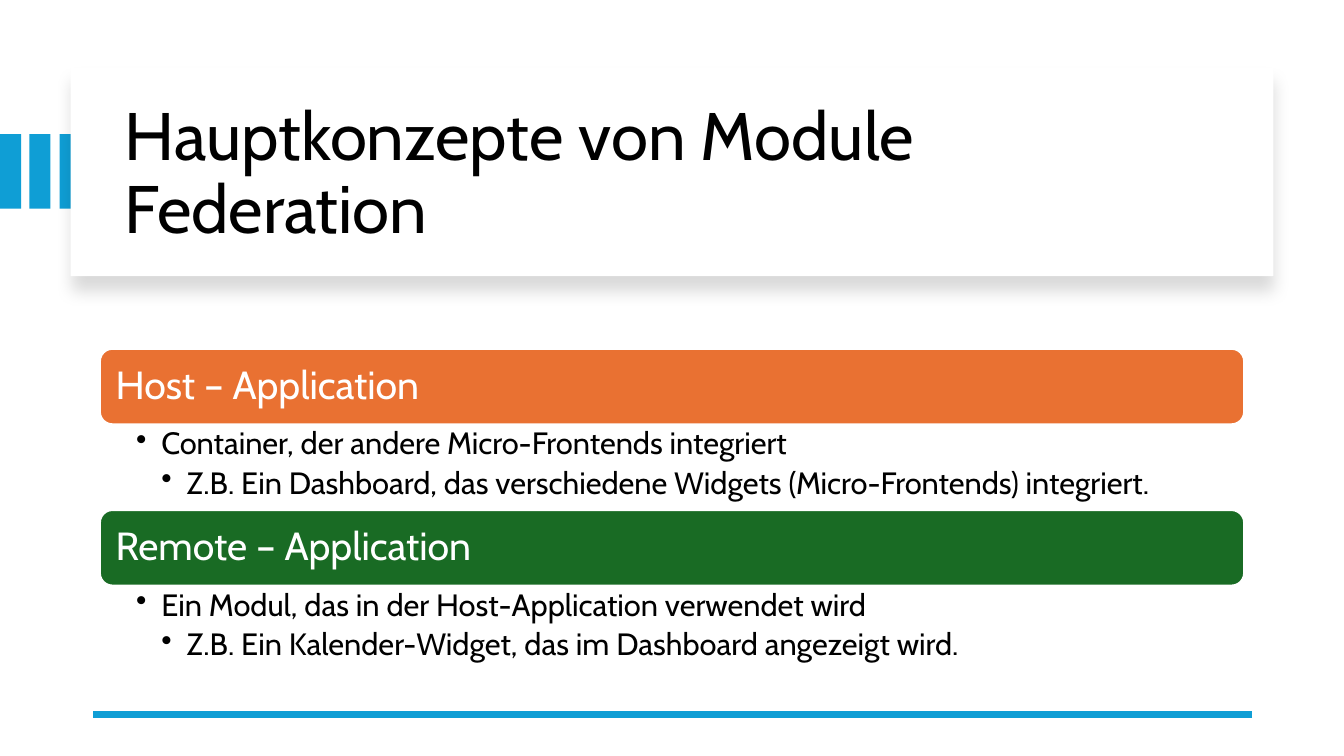
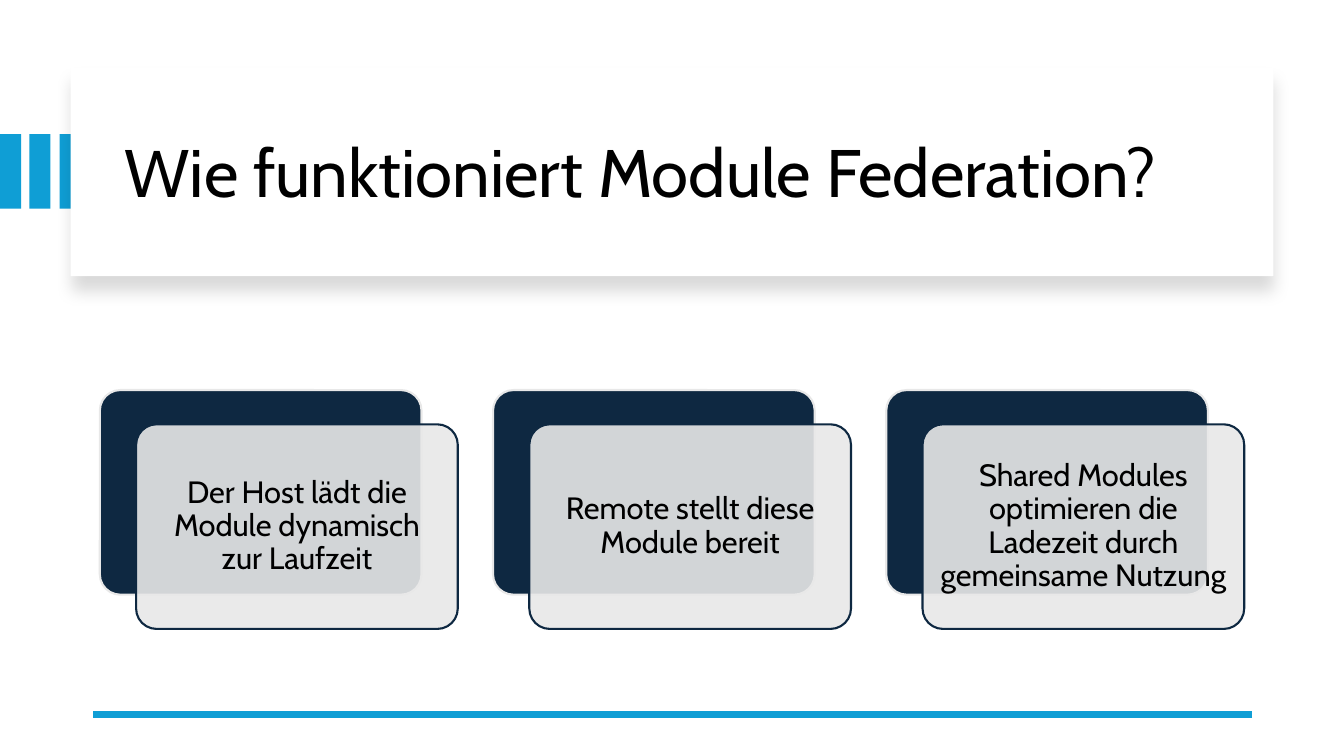
from dataclasses import dataclass

from lxml import etree
from pptx import Presentation
from pptx.dml.color import RGBColor
from pptx.enum.shapes import MSO_CONNECTOR, MSO_SHAPE
from pptx.enum.text import MSO_ANCHOR, PP_ALIGN
from pptx.oxml.ns import qn
from pptx.util import Emu, Pt

RECT, ROUND_RECT = MSO_SHAPE.RECTANGLE, MSO_SHAPE.ROUNDED_RECTANGLE
STRAIGHT = MSO_CONNECTOR.STRAIGHT
TOP, MIDDLE = MSO_ANCHOR.TOP, MSO_ANCHOR.MIDDLE
LEFT, CENTER = PP_ALIGN.LEFT, PP_ALIGN.CENTER

# Content
CONCEPTS_TITLE = "Hauptkonzepte von Module Federation"
CONCEPTS = [
    ("Host – Application", "E97132", [
        "Container, der andere Micro-Frontends integriert",
        "Z.B. Ein Dashboard, das verschiedene Widgets (Micro-Frontends) integriert.",
    ]),
    ("Remote – Application", "196B24", [
        "Ein Modul, das in der Host-Application verwendet wird",
        "Z.B. Ein Kalender-Widget, das im Dashboard angezeigt wird.",
    ]),
]
STEPS_TITLE = "Wie funktioniert Module Federation?"
STEPS = [
    "Der Host lädt die Module dynamisch zur Laufzeit",
    "Remote stellt diese Module bereit",
    "Shared Modules optimieren die Ladezeit durch gemeinsame Nutzung",
]


@dataclass(frozen=True)
class Theme:
    font: str = "Cabin"
    title_size: int = 48
    heading_size: int = 28
    body_size: int = 22
    text: str = "000000"
    white: str = "FFFFFF"
    accent: str = "0F9ED5"
    navy: str = "0E2841"
    pale: str = "E8E8E8"
    border: float = 1.5
    rule: float = 4.5


THEME = Theme()
PX = 9144  # EMU per px, 100 px to the inch
SLIDE_WIDTH, SLIDE_HEIGHT = 1333, 750
CONTENT_LEFT, CONTENT_WIDTH = 99, 1135


def px(*lengths):
    return [Emu(length * PX) for length in lengths]


def color(code):
    return RGBColor.from_string(code)


def add_box(page, place, fill, line=None, kind=RECT, corner=None, alpha=None):
    box = page.shapes.add_shape(kind, *px(*place))
    box.shadow.inherit = False
    box.fill.solid()
    box.fill.fore_color.rgb = color(fill)
    if alpha is not None:
        tint = box.fill._xPr.find(".//" + qn("a:srgbClr"))
        etree.SubElement(tint, qn("a:alpha"), val=str(alpha * 1000))
    if line:
        box.line.color.rgb = color(line)
        box.line.width = Pt(THEME.border)
    else:
        box.line.fill.background()
    if corner is not None:
        box.adjustments[0] = corner
    return box


def add_shadow(box, blur, distance, opacity):
    effects = box._element.spPr.find(qn("a:effectLst"))
    shadow = etree.SubElement(
        effects, qn("a:outerShdw"), blurRad=str(Pt(blur)), dist=str(Pt(distance)),
        dir="5400000", algn="t", rotWithShape="0")
    tint = etree.SubElement(shadow, qn("a:srgbClr"), val="000000")
    etree.SubElement(tint, qn("a:alpha"), val=str(opacity * 1000))


def write(box, lines, size, ink=THEME.text, align=LEFT, anchor=MIDDLE,
          insets=(10, 5, 10, 5), bullets=False):
    """Fill a box with paragraphs; bulleted lines step in one level each."""
    frame = box.text_frame
    frame.word_wrap = True
    frame.vertical_anchor = anchor
    (frame.margin_left, frame.margin_top,
     frame.margin_right, frame.margin_bottom) = px(*insets)
    for index, line in enumerate(lines):
        para = frame.add_paragraph() if index else frame.paragraphs[0]
        para.alignment = align
        para.line_spacing = 0.9
        if bullets:
            para.level = index + 1
            para.space_after = Pt(size * 0.2)
            props = para._p.get_or_add_pPr()
            props.set("marL", str(25 * (index + 1) * PX))
            props.set("indent", str(-25 * PX))
            etree.SubElement(props, qn("a:buChar"), char="•")
        span = para.add_run()
        span.text = line
        span.font.name = THEME.font
        span.font.size = Pt(size)
        span.font.color.rgb = color(ink)


def add_page(deck, title):
    """Blank page with the shared stripes, title card and bottom rule."""
    page = deck.slides.add_slide(deck.slide_layouts[6])
    for index in range(3):
        add_box(page, (index * 59 // 2, 133, 21, 74), THEME.accent)
    add_shadow(add_box(page, (70, 67, 1193, 207), THEME.white),
               blur=11, distance=10, opacity=15)
    write(page.shapes.add_textbox(*px(114, 89, 1110, 170)), [title], THEME.title_size)
    rule = page.shapes.add_connector(STRAIGHT, *px(1242, 709, 92, 709))
    rule.line.color.rgb = color(THEME.accent)
    rule.line.width = Pt(THEME.rule)
    etree.SubElement(rule._element.spPr, qn("a:effectLst"))
    return page


def build_concepts(deck):
    page = add_page(deck, CONCEPTS_TITLE)
    first_top, pitch, bar_height, list_height = 346, 160, 75, 84
    for index, (heading, fill, points) in enumerate(CONCEPTS):
        top = first_top + index * pitch
        bar = add_box(page, (CONTENT_LEFT, top, CONTENT_WIDTH, bar_height),
                      fill, THEME.white, ROUND_RECT)
        write(bar, [heading], THEME.heading_size, THEME.white, insets=(12,) * 4)
        details = page.shapes.add_textbox(
            *px(CONTENT_LEFT, top + bar_height, CONTENT_WIDTH, list_height))
        write(details, points, THEME.body_size, anchor=TOP,
              insets=(36, 4, 22, 4), bullets=True)


def build_steps(deck):
    page = add_page(deck, STEPS_TITLE)
    top, width, height, shift_x, shift_y = 387, 319, 203, 36, 34
    pitch = (CONTENT_WIDTH - shift_x - width) // (len(STEPS) - 1)
    for index, step in enumerate(STEPS):
        left = CONTENT_LEFT + index * pitch
        add_box(page, (left, top, width, height),
                THEME.navy, THEME.pale, ROUND_RECT, corner=0.1)
        card = add_box(page, (left + shift_x, top + shift_y, width, height),
                       THEME.pale, THEME.navy, ROUND_RECT, corner=0.1, alpha=90)
        write(card, [step], THEME.body_size, align=CENTER, insets=(9,) * 4)


def main():
    deck = Presentation()
    deck.slide_width, deck.slide_height = px(SLIDE_WIDTH, SLIDE_HEIGHT)
    build_concepts(deck)
    build_steps(deck)
    deck.save("out.pptx")


if __name__ == "__main__":
    main()
